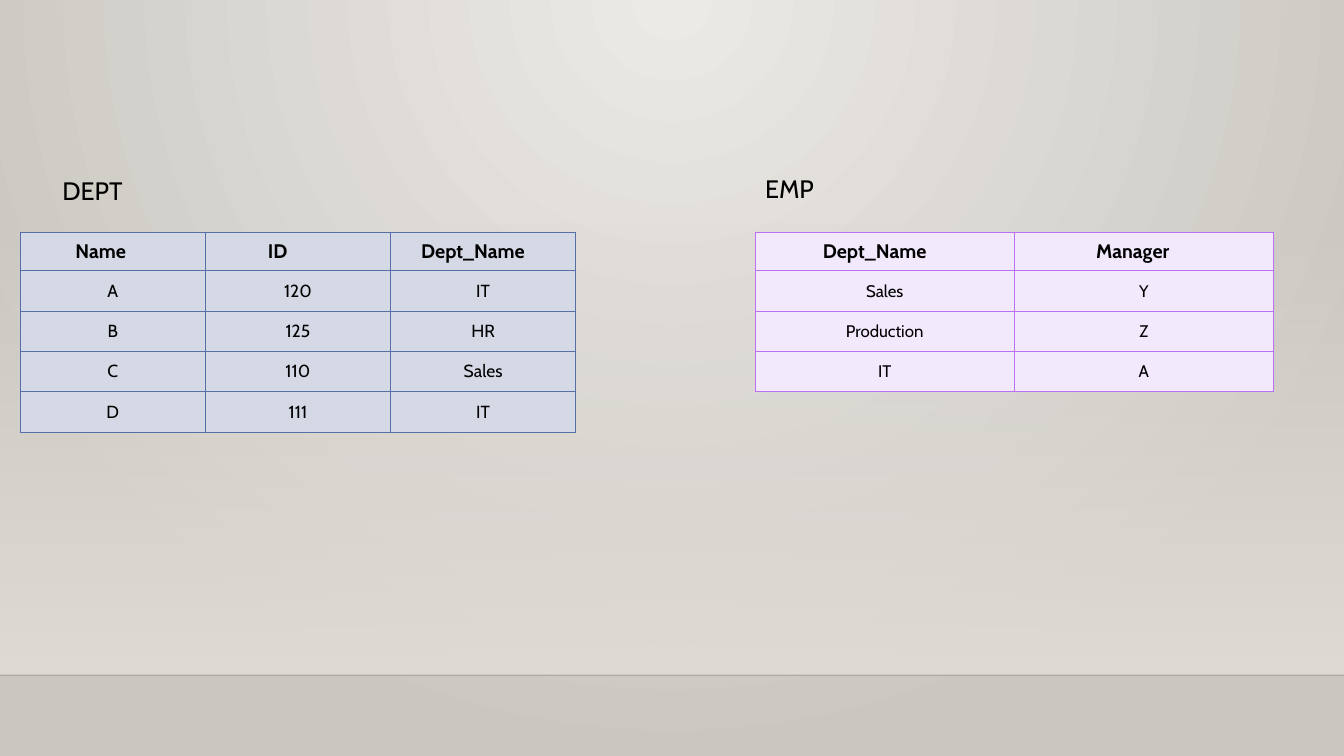
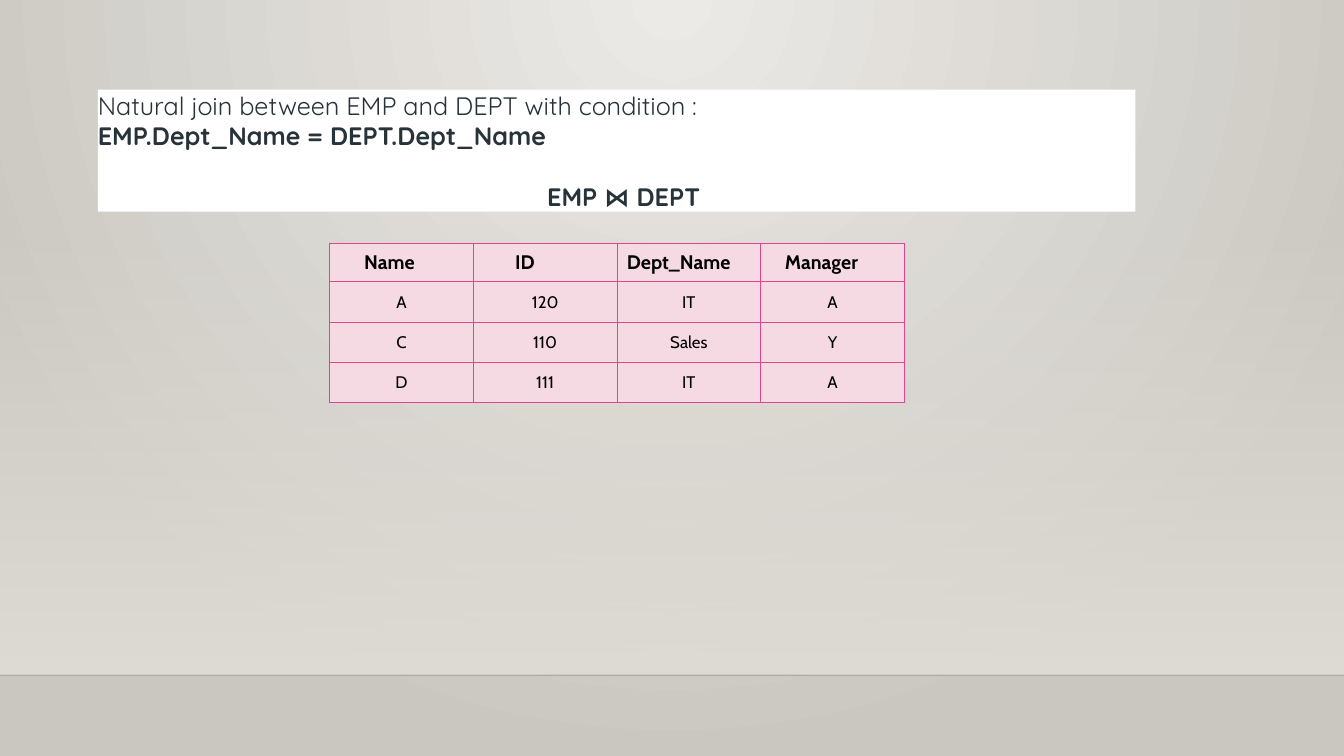
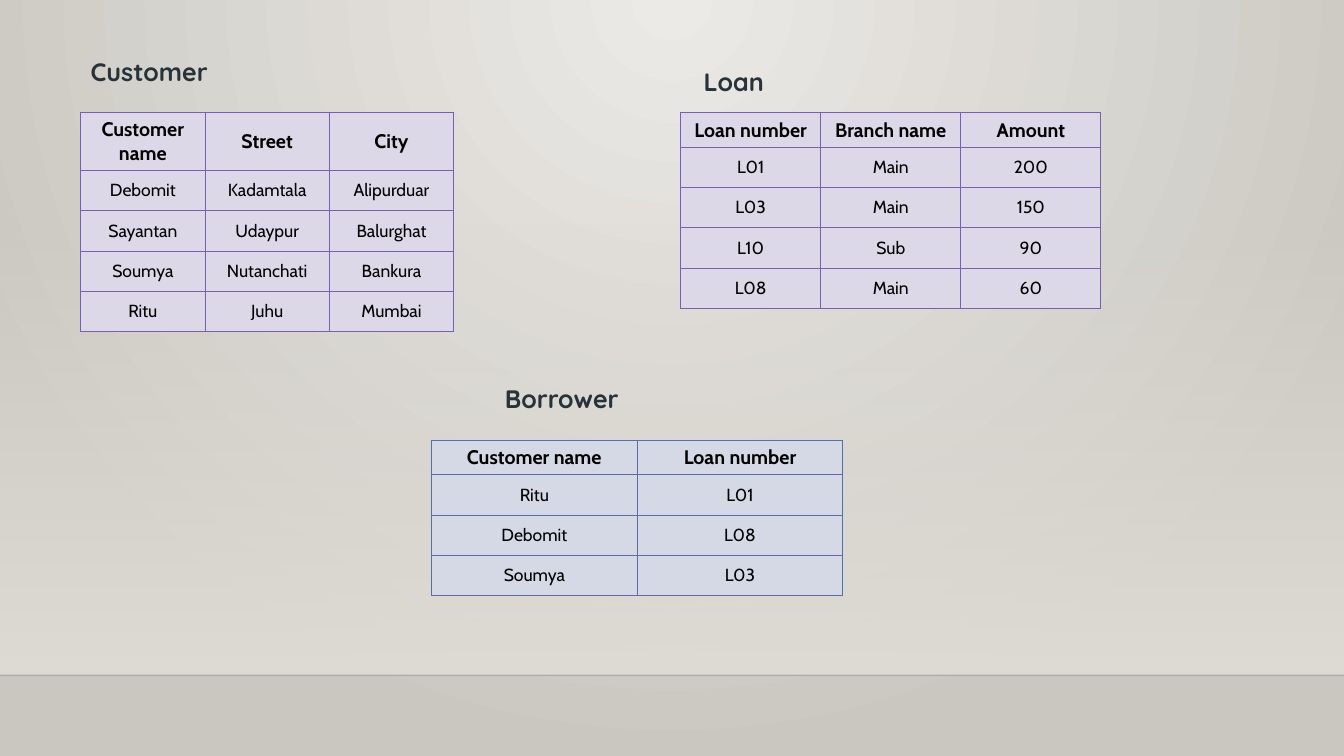
from dataclasses import dataclass

from pptx import Presentation
from pptx.dml.color import RGBColor as RGB
from pptx.enum.shapes import MSO_CONNECTOR as CONN, MSO_SHAPE as SHAPE
from pptx.enum.text import MSO_ANCHOR as ANCHOR, PP_ALIGN as ALIGN
from pptx.oxml import parse_xml
from pptx.oxml.ns import nsdecls, qn
from pptx.util import Inches, Pt


# Colours, fonts and type sizes
@dataclass(frozen=True)
class Theme:
    glow: str = "ECEAE7"
    edge: str = "CAC7C1"
    wall: str = "DFDBD5"
    floor_line: str = "000001"
    white: str = "FFFFFF"
    black: str = "000000"
    ink: str = "273239"
    body_font: str = "Cabin"
    title_font: str = "Quicksand"
    title_size: float = 18
    header_size: float = 14
    cell_size: float = 12.5
    small_size: float = 12


T = Theme()
WIDTH, HEIGHT, FLOOR, WALL_TOP = 13.33, 7.5, 6.7, 2.21

# Table palettes: (border, fill)
BLUE = ("586EA6", "D5D9E5")
PURPLE = ("BC72F0", "F3E9FD")
PINK = ("DE478E", "F6DAE3")
VIOLET = ("795FAF", "DDD8E7")

# Extra right inset that moves a header left of its column centre
HEADER_SHIFT = {"Name": 0.24, "ID": 0.4, "Dept_Name": 0.2, "Manager": 0.22}


def set_attrs(obj, values):
    for name, value in values.items():
        setattr(obj, name, value)


def set_margins(obj, left, top, right, bottom):
    sides = zip(("left", "top", "right", "bottom"), (left, top, right, bottom))
    set_attrs(obj, {f"margin_{side}": Inches(v) for side, v in sides})


def write(p, text, font, size, color, bold=False, align=ALIGN.LEFT):
    r = p.add_run()
    r.text = text
    p.alignment = align
    set_attrs(r.font, {"name": font, "size": Pt(size), "bold": bold})
    r.font.color.rgb = RGB.from_string(color)


def set_gradient(fill, first, last):
    fill.gradient()
    for stop, color in zip(fill.gradient_stops, (first, last)):
        stop.color.rgb = RGB.from_string(color)


def add_alpha(element, percent):
    """Make the first colour inside element partly transparent."""
    color = next(element.iter(qn("a:srgbClr")))
    color.append(parse_xml(f'<a:alpha {nsdecls("a")} val="{percent * 1000}"/>'))


# Shared backdrop
def set_background(master):
    set_gradient(master.background.fill, T.glow, T.edge)
    lin = next(master.element.cSld.iter(qn("a:lin")))
    lin.getparent().replace(lin, parse_xml(
        f'<a:path {nsdecls("a")} path="circle">'
        '<a:fillToRect l="43000" t="0" r="43000" b="100000"/></a:path>'))


def add_slide(prs):
    s = prs.slides.add_slide(prs.slide_layouts[6])
    # Wall that fades in towards the floor
    wall = s.shapes.add_shape(SHAPE.RECTANGLE, 0, Inches(WALL_TOP),
                              Inches(WIDTH), Inches(FLOOR - WALL_TOP))
    wall.shadow.inherit = False
    wall.line.fill.background()
    set_gradient(wall.fill, T.wall, T.wall)
    wall.fill.gradient_angle = 270
    add_alpha(wall.element.spPr, 0)
    # Floor line
    edge = s.shapes.add_connector(CONN.STRAIGHT, 0, Inches(FLOOR),
                                  Inches(WIDTH), Inches(FLOOR))
    edge.line.width = Pt(1)
    edge.line.color.rgb = RGB.from_string(T.floor_line)
    add_alpha(edge.element.spPr, 20)
    edge.element.spPr.append(parse_xml(f'<a:effectLst {nsdecls("a")}/>'))
    return s


# Captions and statements
def add_caption(s, text, left, top, width, font=T.title_font, color=T.ink,
                bold=True):
    sp = s.shapes.add_textbox(*map(Inches, (left, top, width, 0.4)))
    sp.text_frame.word_wrap = True
    write(sp.text_frame.paragraphs[0], text, font, T.title_size, color, bold)


def add_join_panel(s):
    sp = s.shapes.add_shape(SHAPE.RECTANGLE,
                            *map(Inches, (0.97, 0.89, 10.29, 1.21)))
    sp.shadow.inherit = False
    sp.fill.solid()
    sp.fill.fore_color.rgb = RGB.from_string(T.white)
    sp.line.fill.background()
    tf = sp.text_frame
    set_attrs(tf, {"word_wrap": True, "vertical_anchor": ANCHOR.MIDDLE})
    set_margins(tf, 0, 0, 0, 0)
    lines = [
        ("Natural join between EMP and DEPT with condition :", False, ALIGN.LEFT),
        ("EMP.Dept_Name = DEPT.Dept_Name", True, ALIGN.LEFT),
        ("EMP ⋈ DEPT", True, ALIGN.CENTER),
    ]
    for i, (text, bold, align) in enumerate(lines):
        p = tf.add_paragraph() if i else tf.paragraphs[0]
        write(p, text, T.title_font, T.title_size, T.ink, bold, align)
    # The formula stands one line lower, slightly right of centre
    p.space_before = Pt(22)
    p._p.get_or_add_pPr().set("marL", str(Inches(0.14)))


# Tables
def set_borders(cell, color):
    tcPr = cell._tc.get_or_add_tcPr()
    for side in "LRTB":
        tcPr.append(parse_xml(
            f'<a:ln{side} {nsdecls("a")} w="{Pt(0.75)}"><a:solidFill>'
            f'<a:srgbClr val="{color}"/></a:solidFill></a:ln{side}>'))


def add_grid(s, rows, left, top, width, palette, size=T.cell_size,
             header_height=0.37, header_inset=0.07, shifts=None):
    border, fill = palette
    row_height = 0.4
    height = header_height + row_height * (len(rows) - 1)
    tbl = s.shapes.add_table(len(rows), len(rows[0]),
                             *map(Inches, (left, top, width, height))).table
    set_attrs(tbl, {"first_row": False, "horz_banding": False})
    for i, row in enumerate(rows):
        head = i == 0
        tbl.rows[i].height = Inches(header_height if head else row_height)
        for j, text in enumerate(row):
            cell = tbl.cell(i, j)
            set_borders(cell, border)
            cell.fill.solid()
            cell.fill.fore_color.rgb = RGB.from_string(fill)
            cell.vertical_anchor = ANCHOR.MIDDLE
            inset = header_inset if head else 0.09
            shift = (shifts or {}).get(text, 0) if head else 0
            set_margins(cell, 0.07, inset, 0.07 + shift, inset)
            write(cell.text_frame.paragraphs[0], text, T.body_font,
                  T.header_size if head else size, T.black, head, ALIGN.CENTER)


# Slides
def build_relations(prs):
    s = add_slide(prs)
    dept = [("Name", "ID", "Dept_Name"), ("A", "120", "IT"),
            ("B", "125", "HR"), ("C", "110", "Sales"), ("D", "111", "IT")]
    emp = [("Dept_Name", "Manager"), ("Sales", "Y"), ("Production", "Z"),
           ("IT", "A")]
    add_grid(s, dept, 0.2, 2.31, 5.51, BLUE, shifts=HEADER_SHIFT)
    add_grid(s, emp, 7.49, 2.31, 5.14, PURPLE, T.small_size,
             shifts=HEADER_SHIFT)
    for text, left, top in (("DEPT", 0.52, 1.69), ("EMP", 7.49, 1.67)):
        add_caption(s, text, left, top, 1.65, T.body_font, T.black, False)


def build_join(prs):
    s = add_slide(prs)
    joined = [("Name", "ID", "Dept_Name", "Manager"), ("A", "120", "IT", "A"),
              ("C", "110", "Sales", "Y"), ("D", "111", "IT", "A")]
    add_grid(s, joined, 3.27, 2.42, 5.7, PINK, T.small_size,
             shifts=HEADER_SHIFT)
    add_join_panel(s)


def build_bank(prs):
    s = add_slide(prs)
    customer = [("Customer name", "Street", "City"),
                ("Debomit", "Kadamtala", "Alipurduar"),
                ("Sayantan", "Udaypur", "Balurghat"),
                ("Soumya", "Nutanchati", "Bankura"),
                ("Ritu", "Juhu", "Mumbai")]
    loan = [("Loan number", "Branch name", "Amount"), ("L01", "Main", "200"),
            ("L03", "Main", "150"), ("L10", "Sub", "90"), ("L08", "Main", "60")]
    borrower = [("Customer name", "Loan number"), ("Ritu", "L01"),
                ("Debomit", "L08"), ("Soumya", "L03")]
    add_caption(s, "Customer", 0.8, 0.51, 6.67)
    add_caption(s, "Loan", 6.88, 0.61, 6.4)
    add_caption(s, "Borrower", 4.91, 3.75, 6.7)
    for rows, left, top, width, palette, header_height in (
            (customer, 0.8, 1.12, 3.7, VIOLET, 0.57),
            (loan, 6.75, 1.12, 4.17, VIOLET, 0.34),
            (borrower, 4.28, 4.37, 4.08, BLUE, 0.34)):
        add_grid(s, rows, left, top, width, palette,
                 header_height=header_height, header_inset=0.05)


def main():
    prs = Presentation()
    set_attrs(prs, {"slide_width": Inches(WIDTH), "slide_height": Inches(HEIGHT)})
    set_background(prs.slide_master)
    for build in (build_relations, build_join, build_bank):
        build(prs)
    prs.save("out.pptx")


if __name__ == "__main__":
    main()
